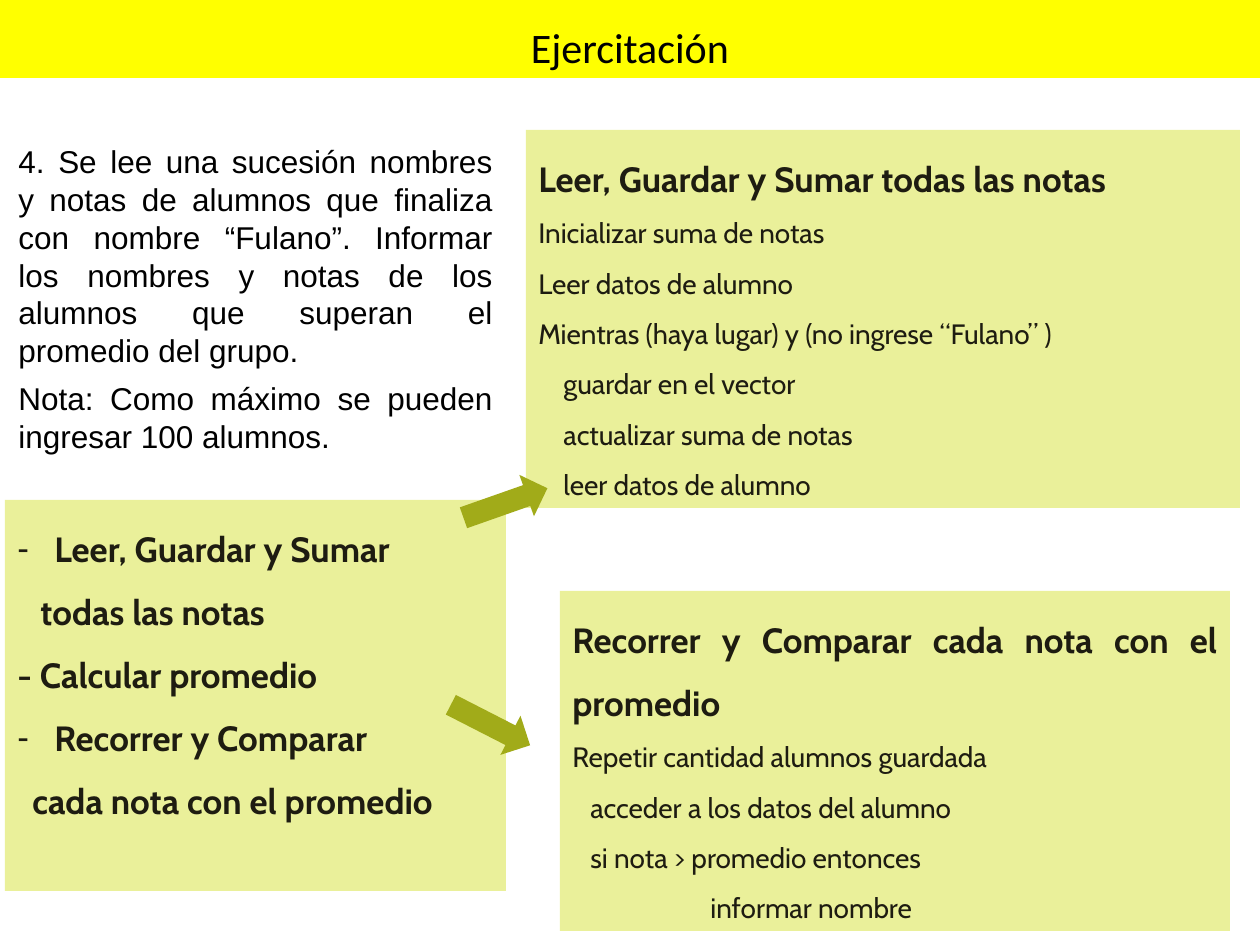
from lxml.etree import SubElement as Sub
from pptx import Presentation
from pptx.dml.color import RGBColor
from pptx.enum.shapes import MSO_SHAPE as Form
from pptx.enum.text import MSO_ANCHOR as Anchor, PP_ALIGN as Align
from pptx.oxml.ns import qn
from pptx.util import Emu, Pt

SCALE = 914400 / 126
LIME, OLIVE, INK = "EAF09A", "A1AB19", "1E1C11"
BLACK, YELLOW = "000000", "FFFF00"
HANG = 37


def px(num):
    return Emu(round(num * SCALE))


def hue(code):
    return RGBColor.from_string(code)


def add_form(slide, form, box, fill):
    shape = slide.shapes.add_shape(form, *map(px, box))
    shape.shadow.inherit = False
    shape.fill.solid()
    shape.fill.fore_color.rgb = hue(fill)
    shape.line.fill.background()
    return shape


def set_frame(shape, anchor=Anchor.TOP):
    frame = shape.text_frame
    frame.word_wrap = True
    frame.vertical_anchor = anchor
    return frame


def add_line(frame, first, text, size, font, color, bold=False, align=Align.JUSTIFY):
    para = frame.paragraphs[0] if first else frame.add_paragraph()
    para.alignment = align
    run = para.add_run()
    run.text = text
    run.font.size = Pt(size)
    run.font.name = font
    run.font.bold = bold
    run.font.color.rgb = hue(color)
    return para


def set_dash(para):
    props = para._p.get_or_add_pPr()
    props.set("marL", str(px(HANG)))
    props.set("indent", str(-px(HANG)))
    Sub(props, qn("a:buFont")).set("typeface", "Arial")
    Sub(props, qn("a:buChar")).set("char", "-")


def add_panel(slide, box, lines):
    frame = set_frame(add_form(slide, Form.RECTANGLE, box, LIME))
    for num, (text, head, left, dash) in enumerate(lines):
        para = add_line(frame, num == 0, text, 20 if head else 16, "Cabin", INK, head)
        para.line_spacing = 1.5
        if dash:
            set_dash(para)
        elif left:
            para._p.get_or_add_pPr().set("marL", str(px(left)))


def add_task(slide, box, lines):
    frame = set_frame(slide.shapes.add_textbox(*map(px, box)))
    for num, text in enumerate(lines):
        add_line(frame, num == 0, text, 18, "Arial", BLACK).space_after = Pt(6)


def add_arrow(slide, box, turn):
    add_form(slide, Form.RIGHT_ARROW, box, OLIVE).rotation = turn


def add_title(slide, box, text):
    frame = set_frame(add_form(slide, Form.RECTANGLE, box, YELLOW), Anchor.BOTTOM)
    add_line(frame, True, text, 24, "Calibri", BLACK, align=Align.CENTER)


def main():
    deck = Presentation()
    deck.slide_width, deck.slide_height = px(1260), px(945)
    slide = deck.slides.add_slide(deck.slide_layouts[6])

    add_panel(slide, (5, 500, 501, 391), [
        ("Leer, Guardar y Sumar", True, 0, True),
        ("todas las notas", True, 23, False),
        ("- Calcular promedio", True, 0, False),
        ("Recorrer y Comparar", True, 0, True),
        ("cada nota con el promedio", True, 15, False),
    ])
    add_panel(slide, (560, 591, 670, 340), [
        ("Recorrer y Comparar cada nota con el promedio", True, 0, False),
        ("Repetir cantidad alumnos guardada", False, 0, False),
        ("acceder a los datos del alumno", False, 18, False),
        ("si nota > promedio entonces", False, 18, False),
        ("informar nombre", False, 138, False),
    ])
    add_task(slide, (6, 136, 499, 326), [
        "4. Se lee una sucesión nombres y notas de alumnos que finaliza con nombre "
        "“Fulano”. Informar los nombres y notas de los alumnos que superan el "
        "promedio del grupo.",
        "Nota: Como máximo se pueden ingresar 100 alumnos.",
    ])
    add_panel(slide, (526, 130, 714, 378), [
        ("Leer, Guardar y Sumar todas las notas", True, 0, False),
        ("Inicializar suma de notas", False, 0, False),
        ("Leer datos de alumno", False, 0, False),
        ("Mientras (haya lugar) y (no ingrese “Fulano” )", False, 0, False),
        ("guardar en el vector", False, 25, False),
        ("actualizar suma de notas", False, 25, False),
        ("leer datos de alumno", False, 25, False),
    ])
    add_arrow(slide, (461, 481, 89, 44), 340.6)
    add_arrow(slide, (446, 703, 89, 44), 27.1)
    add_title(slide, (0, 0, 1260, 78), "Ejercitación")
    deck.save("out.pptx")


if __name__ == "__main__":
    main()
